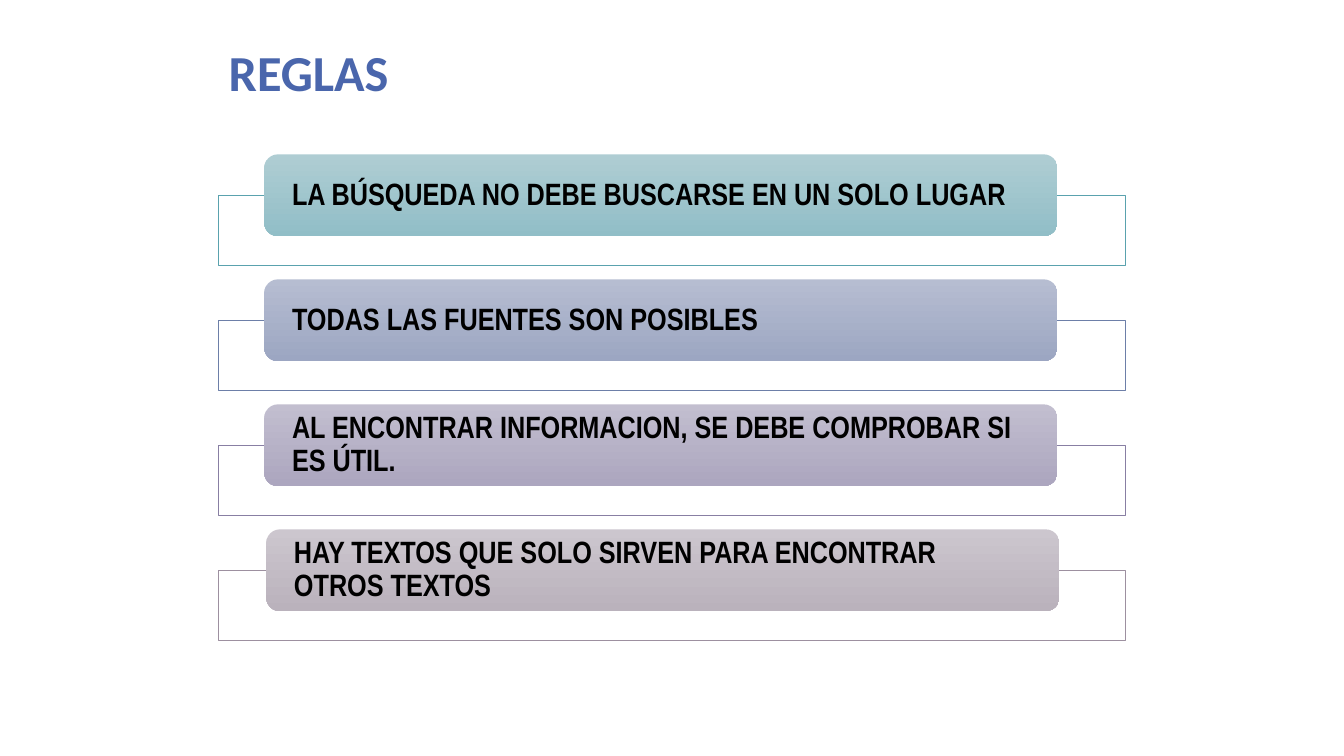
from lxml.etree import SubElement
from pptx import Presentation
from pptx.dml.color import RGBColor
from pptx.enum.shapes import MSO_SHAPE
from pptx.enum.text import MSO_ANCHOR, MSO_AUTO_SIZE, PP_ALIGN
from pptx.oxml.ns import qn
from pptx.util import Cm, Pt

COLORS = {"title": "4A66AC", "text": "000000", "frame": "FFFFFF"}
RULES = [
    ("LA BÚSQUEDA NO DEBE BUSCARSE EN UN SOLO LUGAR", "5AA2AE", "AFCDD3", "91BEC7", 6.66),
    ("TODAS LAS FUENTES SON POSIBLES", "6D7FA8", "B6BDD1", "9CA6C2", 6.66),
    ("AL ENCONTRAR INFORMACION, SE DEBE COMPROBAR SI ES ÚTIL.", "887FA3", "C2BECF", "ACA6BF", 6.66),
    ("HAY TEXTOS QUE SOLO SIRVEN PARA ENCONTRAR OTROS TEXTOS", "9D90A0", "CCC6CE", "BAB2BC", 6.71),
]
LEFT, WIDTH = 5.51, 22.86
FIRST_TOP, STEP = 3.89, 3.15
FRAME_DROP = 1.04


def rgb(value):
    """Turn a hex string into a colour."""
    return RGBColor.from_string(value)


def set_text(tf, text, font, size, color, spacing):
    """Write one bold, left-aligned paragraph."""
    tf.word_wrap = True
    tf.auto_size = MSO_AUTO_SIZE.NONE
    tf.text = text
    p = tf.paragraphs[0]
    p.alignment = PP_ALIGN.LEFT
    p.line_spacing = spacing
    p.font.name, p.font.size, p.font.bold = font, Pt(size), True
    p.font.color.rgb = rgb(color)


def add_title(s, text):
    """Move and format the title placeholder."""
    title = s.shapes.title
    title.left, title.top = Cm(LEFT), Cm(0.94)
    title.width, title.height = Cm(WIDTH), Cm(1.75)
    set_text(title.text_frame, text, "Calibri", 36, COLORS["title"], 0.8)
    title.text_frame.vertical_anchor = MSO_ANCHOR.BOTTOM


def add_frame(s, top, line):
    """Add the thin outlined box behind a rule."""
    sp = s.shapes.add_shape(MSO_SHAPE.RECTANGLE, Cm(LEFT), Cm(top), Cm(WIDTH), Cm(1.75))
    sp.shadow.inherit = False
    sp.fill.solid()
    sp.fill.fore_color.rgb = rgb(COLORS["frame"])
    fill_color = sp.fill._xPr.find(qn("a:solidFill"))[0]
    SubElement(fill_color, qn("a:alpha"), val="90000")
    sp.line.color.rgb = rgb(line)
    sp.line.width = Pt(0.5)


def add_rule(s, left, top, text, light, dark):
    """Add the rounded gradient bar that holds a rule."""
    sp = s.shapes.add_shape(MSO_SHAPE.ROUNDED_RECTANGLE, Cm(left), Cm(top), Cm(19.99), Cm(2.06))
    sp.shadow.inherit = False
    sp.line.fill.background()
    sp.fill.gradient()
    sp.fill.gradient_angle = 270
    for stop, color in zip(sp.fill.gradient_stops, (light, dark)):
        stop.color.rgb = rgb(color)
    tf = sp.text_frame
    set_text(tf, text, "Arial Narrow", 22, COLORS["text"], 0.9)
    tf.vertical_anchor = MSO_ANCHOR.MIDDLE
    tf.margin_left = tf.margin_right = Cm(0.6)
    tf.margin_top = tf.margin_bottom = 0


def main():
    """Build the slide and save it."""
    prs = Presentation()
    prs.slide_width, prs.slide_height = Cm(33.87), Cm(19.05)
    s = prs.slides.add_slide(prs.slide_layouts[5])
    add_title(s, "REGLAS")
    for i, (text, line, light, dark, left) in enumerate(RULES):
        top = FIRST_TOP + i * STEP
        add_frame(s, top + FRAME_DROP, line)
        add_rule(s, left, top, text, light, dark)
    prs.save("out.pptx")


if __name__ == "__main__":
    main()
